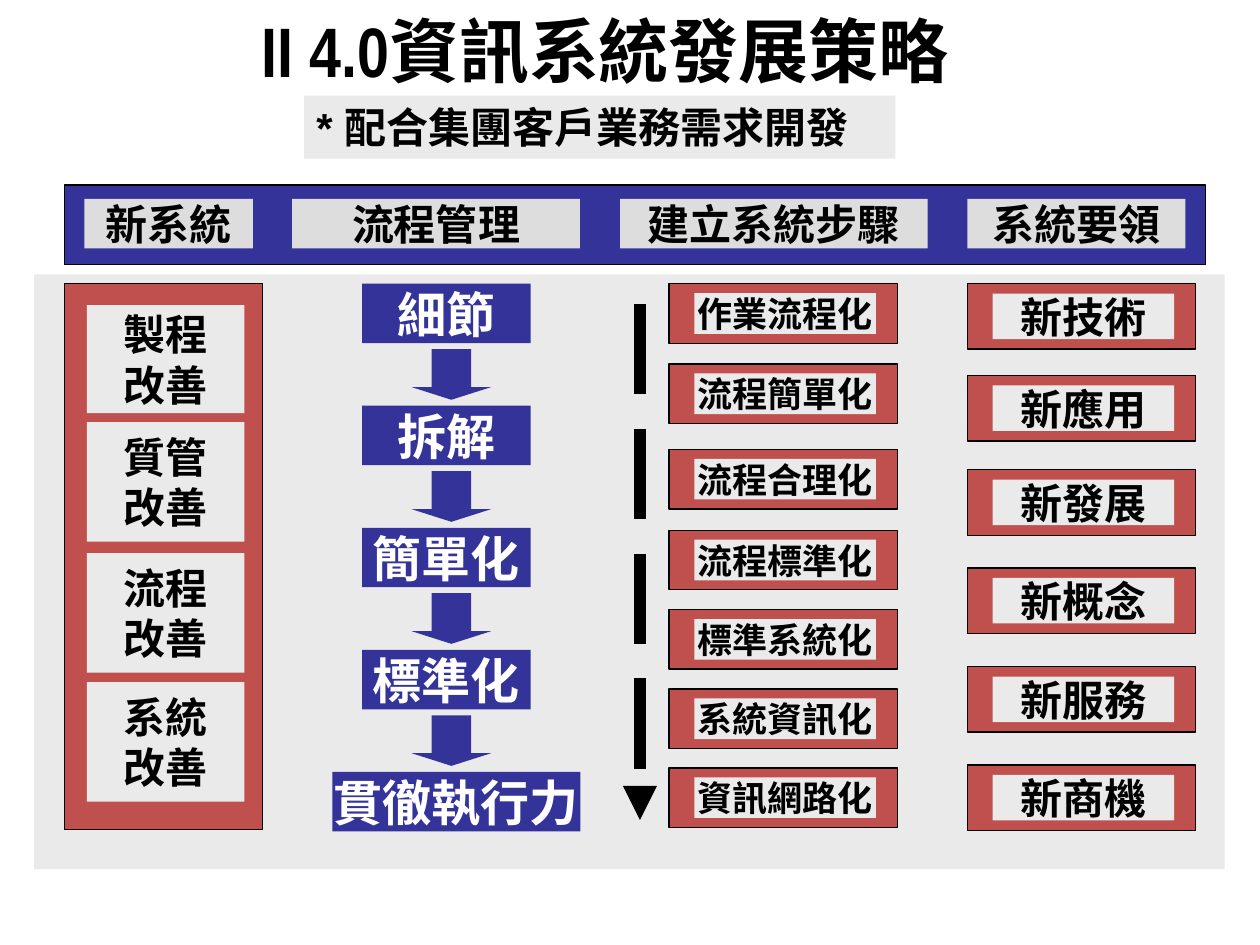
from dataclasses import dataclass
from lxml.etree import SubElement
from pptx import Presentation
from pptx.dml.color import RGBColor
from pptx.enum.dml import MSO_LINE
from pptx.enum.shapes import MSO_CONNECTOR, MSO_SHAPE
from pptx.enum.text import MSO_ANCHOR, PP_ALIGN
from pptx.oxml.ns import qn
from pptx.util import Cm, Pt

HUES = {
    "black": "000000",
    "white": "FFFFFF",
    "blue": "333399",
    "red": "C0504D",
    "pale": "EAEAEA",
    "gray": "DDDDDD",
}


@dataclass
class Box:
    left: float
    top: float
    width: float
    height: float
    fill: str
    text: str = ""
    size: int = 24
    ink: str = "black"
    font: str = "Arial"
    edge: bool = False
    kind: MSO_SHAPE = MSO_SHAPE.RECTANGLE


@dataclass
class Stack:
    left: float
    height: float
    inset: float
    size: int
    items: dict[float, str]


def shade(name: str) -> RGBColor:
    return RGBColor.from_string(HUES[name])


def write(shape, text: str, size: int, ink: str, font: str, align=PP_ALIGN.CENTER) -> None:
    frame = shape.text_frame
    frame.text = text
    frame.vertical_anchor = MSO_ANCHOR.MIDDLE
    for para in frame.paragraphs:
        para.alignment = align
        for run in para.runs:
            run.font.size = Pt(size)
            run.font.name = font
            run.font.bold = True
            run.font.color.rgb = shade(ink)


def draw(shapes, box: Box):
    shape = shapes.add_shape(
        box.kind, Cm(box.left), Cm(box.top), Cm(box.width), Cm(box.height))
    shape.shadow.inherit = False
    shape.fill.solid()
    shape.fill.fore_color.rgb = shade(box.fill)
    if box.edge:
        shape.line.color.rgb = shade("black")
        shape.line.width = Pt(0.75)
    else:
        shape.line.fill.background()
    if box.text:
        write(shape, box.text, box.size, box.ink, box.font)
        shape.text_frame.word_wrap = False
    return shape


def draw_stack(shapes, stack: Stack) -> None:
    group = shapes.add_group_shape().shapes
    for top, text in stack.items.items():
        draw(group, Box(stack.left, top, 4.6, stack.height, "red", edge=True))
        draw(group, Box(stack.left + 0.51, top + stack.inset, 3.66,
                        stack.height - 2 * stack.inset, "pale", text, stack.size))


def draw_arrow(shapes, x: float, top: float, end: float) -> None:
    arrow = shapes.add_connector(MSO_CONNECTOR.STRAIGHT, Cm(x), Cm(top), Cm(x), Cm(end))
    arrow.line.color.rgb = shade("black")
    arrow.line.width = Pt(6.5)
    arrow.line.dash_style = MSO_LINE.LONG_DASH
    SubElement(arrow.line._get_or_add_ln(), qn("a:tailEnd"), type="triangle")
    SubElement(arrow._element.spPr, qn("a:effectLst"))


def main() -> None:
    deck = Presentation()
    deck.slide_width, deck.slide_height = Cm(25.4), Cm(19.05)
    shapes = deck.slides.add_slide(deck.slide_layouts[6]).shapes

    draw(shapes, Box(0.69, 5.53, 24, 11.99, "pale"))

    title = shapes.add_textbox(Cm(3.1), Cm(0.28), Cm(18.2), Cm(1.45))
    title.text_frame.word_wrap = True
    write(title, "II 4.0資訊系統發展策略", 40, "black", "Arial Narrow")

    motto = draw(shapes, Box(6.13, 1.93, 11.92, 1.27, "pale"))
    write(motto, "* 配合集團客戶業務需求開發", 24, "black", "Arial", PP_ALIGN.LEFT)
    motto.text_frame.vertical_anchor = MSO_ANCHOR.TOP

    draw(shapes, Box(1.3, 3.73, 23, 1.6, "blue", edge=True))
    heads = [(1.7, 3.4, "新系統"), (5.89, 5.8, "流程管理"),
             (12.5, 6.2, "建立系統步驟"), (19.5, 4.4, "系統要領")]
    for left, width, text in heads:
        draw(shapes, Box(left, 4.01, width, 1, "gray", text))

    goals = shapes.add_group_shape().shapes
    draw(goals, Box(1.3, 5.72, 4, 11, "red", edge=True))
    for top, height, text in [(6.15, 2.18, "製程"), (8.51, 2.41, "質管"),
                              (11.15, 2.41, "流程"), (13.75, 2.41, "系統")]:
        draw(goals, Box(1.75, top, 3.18, height, "pale", f"{text}\n改善", font="Cabin"))

    flow = ["細節", "拆解", "簡單化", "標準化", "貫徹執行力"]
    for i, text in enumerate(flow):
        top = 5.72 + 2.46 * i
        last = i == len(flow) - 1
        width = 5 if last else 3.4
        left = 6.7 if last else 7.3
        draw(shapes, Box(left, top, width, 1.2, "blue", text, 28, "white"))
        if not last:
            draw(shapes, Box(8.3, top + 1.32, 1.6, 1.02, "blue",
                             kind=MSO_SHAPE.DOWN_ARROW)).adjustments[1] = 0.25

    draw_stack(shapes, Stack(13.49, 1.2, 0.19, 20, {
        5.72: "作業流程化", 7.34: "流程簡單化", 9.06: "流程合理化",
        10.69: "流程標準化", 12.29: "標準系統化", 13.89: "系統資訊化",
        15.48: "資訊網路化"}))
    draw_stack(shapes, Stack(19.5, 1.32, 0.2, 24, {
        5.72: "新技術", 7.57: "新應用", 9.47: "新發展",
        11.45: "新概念", 13.44: "新服務", 15.42: "新商機"}))
    draw_arrow(shapes, 12.9, 6.12, 16.53)

    deck.save("out.pptx")


if __name__ == "__main__":
    main()
